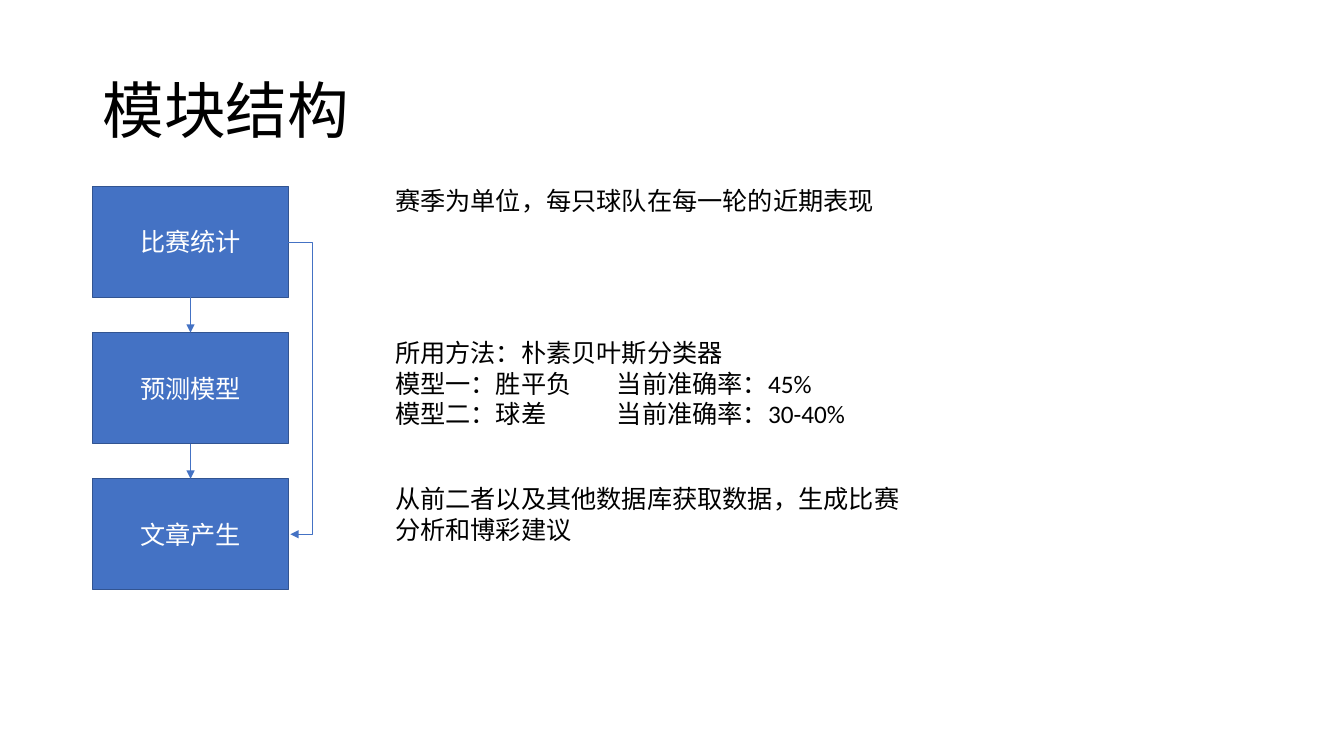
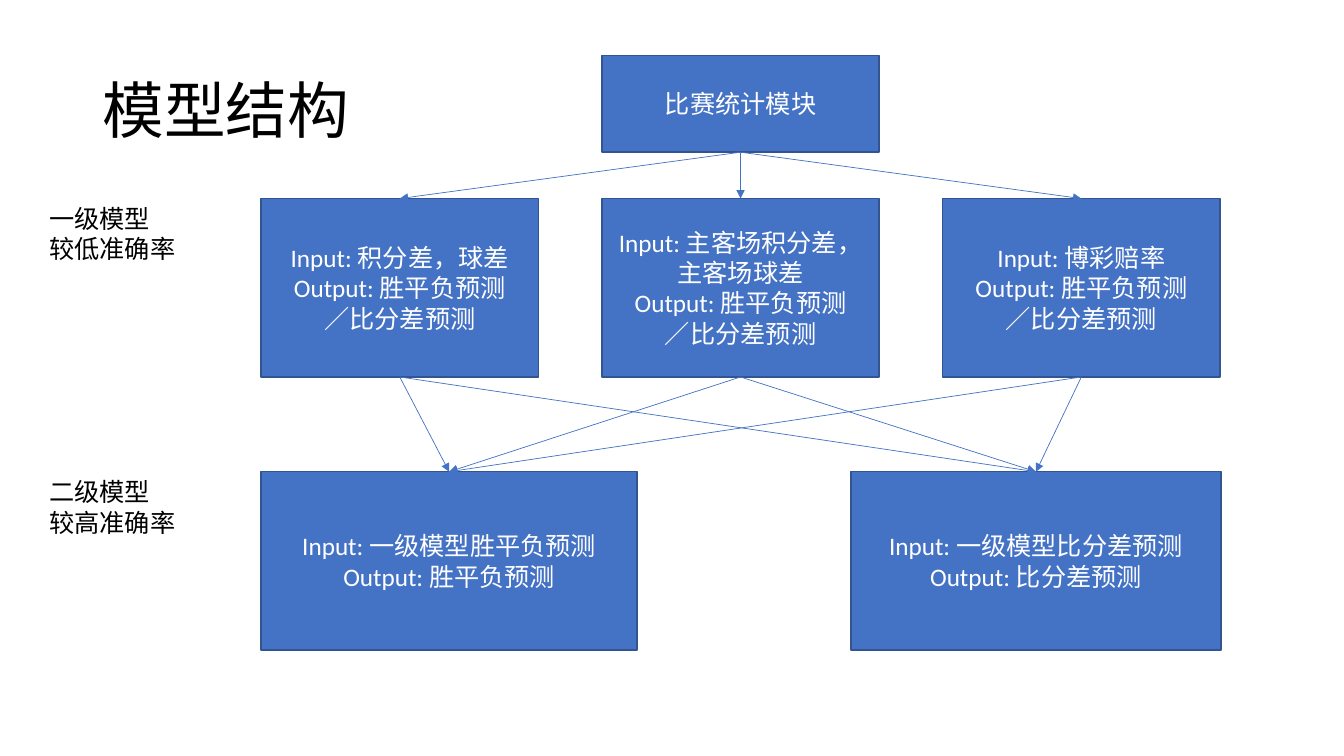
from itertools import pairwise, product

from lxml import etree
from pptx import Presentation
from pptx.dml.color import RGBColor
from pptx.enum.shapes import MSO_CONNECTOR, MSO_SHAPE
from pptx.enum.text import MSO_ANCHOR, PP_ALIGN
from pptx.oxml.ns import qn
from pptx.util import Inches, Pt

STRAIGHT, ELBOW = MSO_CONNECTOR.STRAIGHT, MSO_CONNECTOR.ELBOW
RECTANGLE = MSO_SHAPE.RECTANGLE
TOP, MIDDLE = MSO_ANCHOR.TOP, MSO_ANCHOR.MIDDLE
LEFT, CENTER = PP_ALIGN.LEFT, PP_ALIGN.CENTER
TOP_SITE, BOTTOM_SITE = 0, 2

COLORS = {"fill": "4472C4", "edge": "325491", "light": "FFFFFF", "dark": "000000"}
FONT = "Calibri"
TITLE_BOX = (0.92, 0.4, 11.5, 1.45)
TITLE_STYLE = {"size": 44, "anchor": MIDDLE, "line_spacing": 0.9}
BLOCK_STYLE = {"color": "light", "anchor": MIDDLE, "alignment": CENTER}

MODULES = ["比赛统计", "预测模型", "文章产生"]
NOTES = [
    (0, 0.4, ["赛季为单位，每只球队在每一轮的近期表现"]),
    (1.51, 1.01, ["所用方法：朴素贝叶斯分类器",
                  "模型一：胜平负\t当前准确率：45%",
                  "模型二：球差\t当前准确率：30-40%"]),
    (2.96, 0.71, ["从前二者以及其他数据库获取数据，生成比赛分析和博彩建议"]),
]
FIRST_INPUTS = ["积分差，球差", "主客场积分差，主客场球差", "博彩赔率"]
SECOND_MODELS = [
    (0, 3.73, ["Input: 一级模型胜平负预测", "Output: 胜平负预测"]),
    (5.85, 3.67, ["Input: 一级模型比分差预测", "Output: 比分差预测"]),
]
LEVEL_LABELS = [["一级模型", "较低准确率"], ["二级模型", "较高准确率"]]


def rgb(name):
    return RGBColor.from_string(COLORS[name])


def write(shape, lines, size=18, color="dark", anchor=TOP, alignment=LEFT,
          line_spacing=1.0, tab=None):
    frame = shape.text_frame
    frame.word_wrap = True
    frame.vertical_anchor = anchor
    for index, line in enumerate(lines):
        para = frame.paragraphs[0] if index == 0 else frame.add_paragraph()
        para.alignment = alignment
        para.line_spacing = line_spacing
        span = para.add_run()
        span.text = line
        for name, value in {"name": FONT, "size": Pt(size)}.items():
            setattr(span.font, name, value)
        span.font.color.rgb = rgb(color)
        if tab:
            stops = etree.SubElement(para._p.get_or_add_pPr(), qn("a:tabLst"))
            etree.SubElement(stops, qn("a:tab"), pos=str(Inches(tab)), algn="l")


def add_text(page, box, lines, **style):
    write(page.shapes.add_textbox(*map(Inches, box)), lines, **style)


def add_block(page, box, lines):
    block = page.shapes.add_shape(RECTANGLE, *map(Inches, box))
    block.shadow.inherit = False
    block.fill.solid()
    block.fill.fore_color.rgb = rgb("fill")
    block.line.color.rgb = rgb("edge")
    block.line.width = Pt(1)
    write(block, lines, **BLOCK_STYLE)
    return block


def add_arrow(page, kind, start=(0, 0), end=(0, 0)):
    arrow = page.shapes.add_connector(kind, *map(Inches, (*start, *end)))
    arrow.line.color.rgb = rgb("fill")
    arrow.line.width = Pt(0.5)
    etree.SubElement(arrow.line._get_or_add_ln(), qn("a:tailEnd"), type="triangle")
    etree.SubElement(arrow._element.spPr, qn("a:effectLst"))
    return arrow


def link_down(page, upper, lower):
    arrow = add_arrow(page, STRAIGHT)
    arrow.begin_connect(upper, BOTTOM_SITE)
    arrow.end_connect(lower, TOP_SITE)


def add_bypass(page, start, end, reach):
    arrow = add_arrow(page, ELBOW, start, end)
    ratio = round(reach / (end[0] - start[0]) * 100000)
    guides = arrow._element.spPr.find(qn("a:prstGeom")).find(qn("a:avLst"))
    etree.SubElement(guides, qn("a:gd"), name="adj1", fmla=f"val {ratio}")


def add_page(deck, title):
    page = deck.slides.add_slide(deck.slide_layouts[6])
    add_text(page, TITLE_BOX, [title], **TITLE_STYLE)
    return page


def module_column(page, left, top, width, height, gap):
    step = height + gap
    blocks = [add_block(page, (left, top + row * step, width, height), [name])
              for row, name in enumerate(MODULES)]
    for upper, lower in pairwise(blocks):
        link_down(page, upper, lower)
    right, middle = left + width, top + height / 2
    last = middle + step * (len(MODULES) - 1)
    add_bypass(page, (right, middle), (right + 0.02, last), 0.24)


def module_notes(page, left, top, width):
    for offset, height, lines in NOTES:
        add_text(page, (left, top + offset, width, height), lines, tab=2.2)


def model_network(page, left, top, width, height):
    block_width, block_height, source_height = 2.75, 1.77, 0.96
    step = (width - block_width) / (len(FIRST_INPUTS) - 1)
    first_top, second_top = top + 1.42, top + height - block_height
    source = add_block(page, (left + step, top, block_width, source_height),
                       ["比赛统计模块"])
    first = [add_block(page, (left + column * step, first_top, block_width, block_height),
                       [f"Input: {name}", "Output: 胜平负预测", "／比分差预测"])
             for column, name in enumerate(FIRST_INPUTS)]
    second = [add_block(page, (left + offset, second_top, span_width, block_height), lines)
              for offset, span_width, lines in SECOND_MODELS]
    for upper, lower in [*product([source], first), *product(first, second)]:
        link_down(page, upper, lower)
    for label_top, lines in zip((first_top, second_top), LEVEL_LABELS):
        add_text(page, (left - 2.2, label_top, 1.58, 0.71), lines)


def main():
    deck = Presentation()
    deck.slide_width, deck.slide_height = Inches(13.33), Inches(7.5)
    modules = add_page(deck, "模块结构")
    module_column(modules, 0.92, 1.85, 1.94, 1.1, 0.35)
    module_notes(modules, 3.82, 1.79, 5.25)
    models = add_page(deck, "模型结构")
    model_network(models, 2.59, 0.55, 9.51, 5.9)
    deck.save("out.pptx")


if __name__ == "__main__":
    main()
